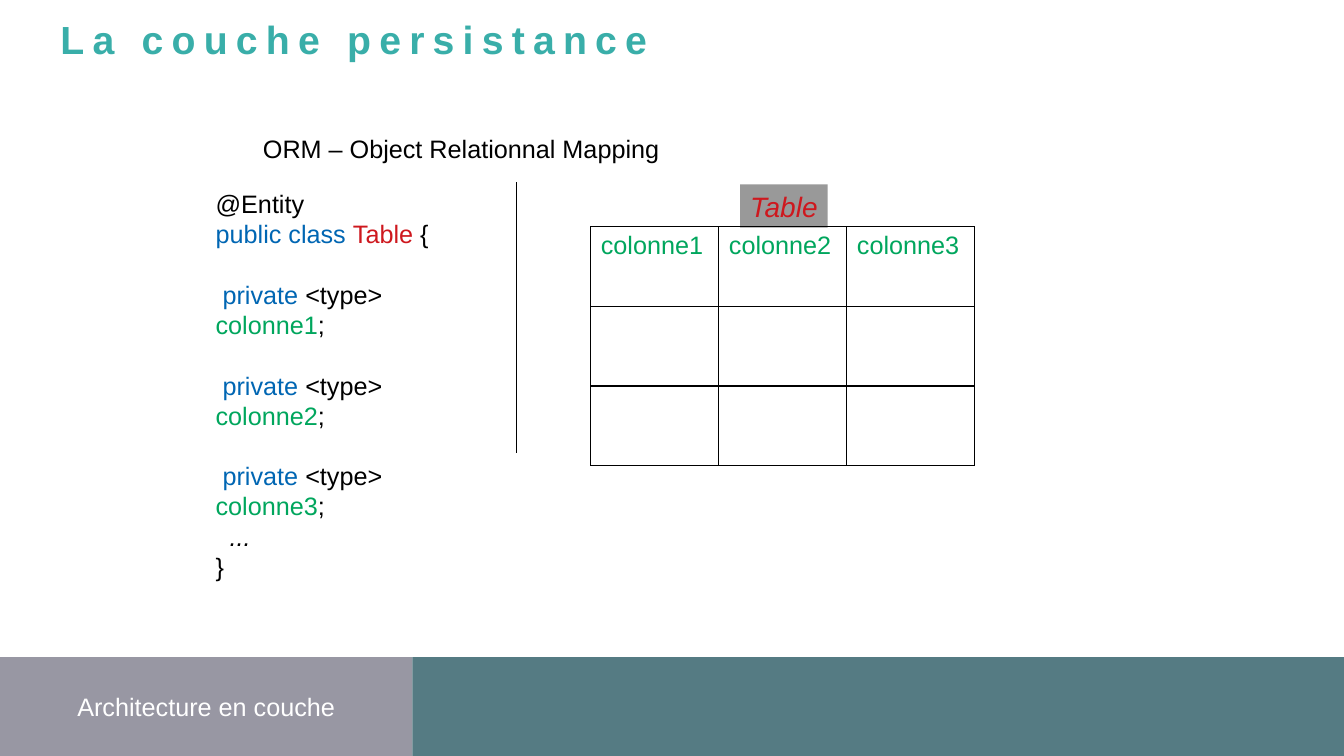
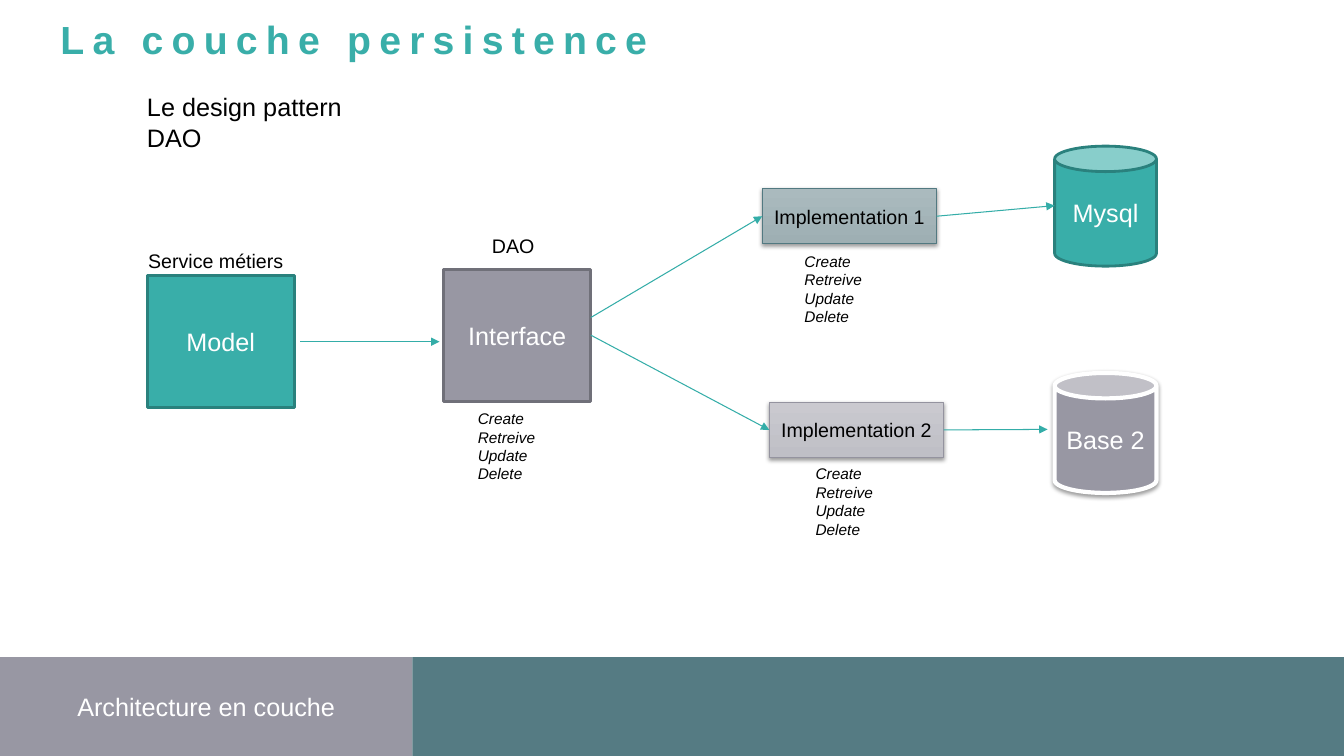
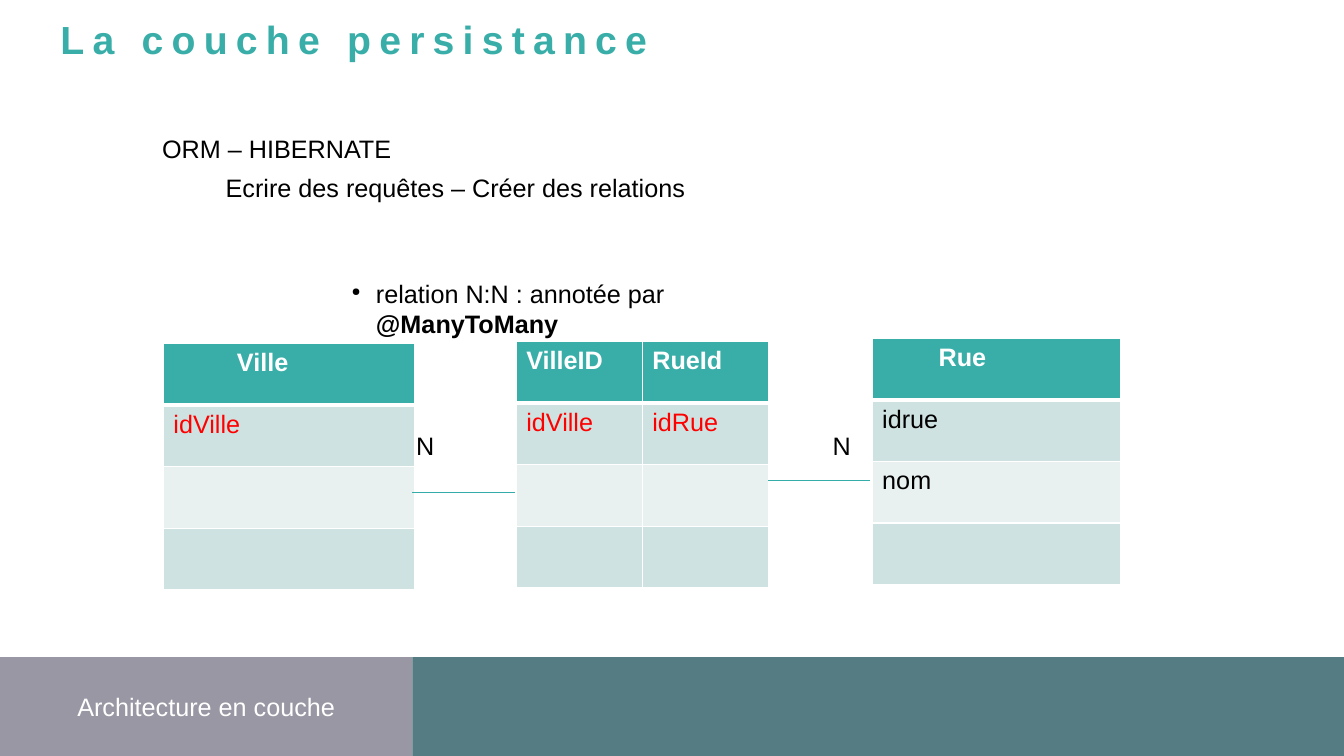
from lxml.etree import SubElement
from pptx import Presentation
from pptx.dml.color import RGBColor
from pptx.enum.shapes import MSO_CONNECTOR, MSO_SHAPE
from pptx.enum.text import MSO_ANCHOR, PP_ALIGN
from pptx.oxml import parse_xml
from pptx.oxml.ns import nsdecls, qn
from pptx.util import Inches, Pt

FONT = "Arial"
TEAL, GREY, SLATE = "39AEA9", "9897A3", "557B83"
LINK = "34ADA8"
BLACK, WHITE = "000000", "FFFFFF"
GREEN, BLUE, CRIMSON, RED = "00A65D", "0066B3", "CE181E", "FF0000"
PALE, PALER = "CEE3E1", "E8F1F0"
rgb = RGBColor.from_string

SHADOW = f"""<a:effectLst {nsdecls('a')}>
  <a:outerShdw blurRad="39370" dist="20320" dir="5400000" rotWithShape="0">
    <a:srgbClr val="000000"><a:alpha val="38000"/></a:srgbClr>
  </a:outerShdw>
</a:effectLst>"""


def write(tf, *lines, size=18, color=BLACK, bold=False, italic=False,
          align=PP_ALIGN.LEFT):
    """Fill a text frame; a line is a string or a list of (text, format) runs."""
    for i, line in enumerate(lines):
        p = tf.paragraphs[0] if i == 0 else tf.add_paragraph()
        p.alignment = align
        runs = [(line, {})] if isinstance(line, str) else line
        for text, own in runs:
            r = p.add_run()
            r.text = text
            r.font.name = FONT
            r.font.size = Pt(size)
            r.font.bold = own.get("bold", bold)
            r.font.italic = own.get("italic", italic)
            r.font.color.rgb = rgb(own.get("color", color))


def box(s, x, y, w, h, *lines, kind=None, fill=None, line=None, weight=0.75,
        shadow=False, **fmt):
    """Add a text box, or a filled shape with centred text when kind is given."""
    place = [Inches(v) for v in (x, y, w, h)]
    if kind is None:
        sp = s.shapes.add_textbox(*place)
    else:
        sp = s.shapes.add_shape(kind, *place)
        fmt = {"color": WHITE, "align": PP_ALIGN.CENTER, **fmt}
        sp.text_frame.vertical_anchor = MSO_ANCHOR.MIDDLE
        if isinstance(fill, tuple):
            sp.fill.gradient()
            sp.fill.gradient_angle = 270
            for stop, c in zip(sp.fill.gradient_stops, fill):
                stop.color.rgb = rgb(c)
        else:
            sp.fill.solid()
            sp.fill.fore_color.rgb = rgb(fill)
        if line:
            sp.line.color.rgb = rgb(line)
            sp.line.width = Pt(weight)
        else:
            sp.line.fill.background()
        if shadow:
            sp._element.spPr.append(parse_xml(SHADOW))
        else:
            sp.shadow.inherit = False
    sp.text_frame.word_wrap = True
    write(sp.text_frame, *lines, **fmt)
    return sp


prs = Presentation()
prs.slide_width, prs.slide_height = Inches(13.33), Inches(7.5)
RECT, CAN = MSO_SHAPE.RECTANGLE, MSO_SHAPE.CAN

# Title and footer bands
slides = []
for title in ("La couche persistance", "La couche persistence", "La couche persistance"):
    s = prs.slides.add_slide(prs.slide_layouts[6])
    box(s, 0, 6.52, 4.09, 0.98, "Architecture en couche", kind=RECT, fill=GREY)
    box(s, 4.09, 6.52, 9.24, 0.98, kind=RECT, fill=SLATE)
    tf = box(s, 0.6, 0.27, 6.46, 0.35, title, size=28, color=TEAL, bold=True).text_frame
    tf.margin_left = tf.margin_right = tf.margin_top = tf.margin_bottom = 0
    p = tf.paragraphs[0]
    p.line_spacing = Pt(25)
    p.runs[0].font._element.set("spc", "590")
    slides.append(s)
orm, dao, relation = slides

# Slide 1: entity class beside its table
box(orm, 2.51, 1.27, 4.26, 0.4, "ORM – Object Relationnal Mapping")
label = box(orm, 7.34, 1.83, 0.87, 0.43, "Table", kind=RECT, fill="999999",
            size=20, color=CRIMSON, italic=True)
label.text_frame.word_wrap = False
label.text_frame.vertical_anchor = MSO_ANCHOR.TOP
columns = ["colonne1", "colonne2", "colonne3"]
fields = [[(" ", {}), ("private", {"color": BLUE}), (" <type> ", {}),
           (name, {"color": GREEN}), (";", {})] for name in columns]
code = box(orm, 2.04, 1.82, 2.95, 3.7,
           "@Entity",
           [("public class ", {"color": BLUE}), ("Table", {"color": CRIMSON}), (" {", {})],
           *fields,
           [("  ", {}), ("...", {"italic": True})],
           "}")
for p in code.text_frame.paragraphs[2:5]:
    p.space_before = Pt(21.6)

# Slide 2: DAO pattern
box(dao, 1.36, 0.86, 2.7, 0.7, "Le design pattern DAO")
box(dao, 1.37, 2.42, 1.59, 0.33, "Service métiers", size=14)
box(dao, 4.78, 2.27, 0.69, 0.33, "DAO", size=14)
box(dao, 1.46, 2.73, 1.46, 1.31, "Model", kind=RECT, fill=TEAL, line="2A817D", weight=2)
interface = box(dao, 4.4, 2.67, 1.46, 1.31, "Interface", kind=RECT, fill=GREY,
                line="707079", weight=2)
impl1, impl2 = [
    box(dao, x, y, 1.73, 0.55, text, kind=RECT, fill=fill, line=line, shadow=True,
        size=14, color=BLACK)
    for x, y, text, fill, line in (
        (7.56, 1.87, "Implementation 1", ("AABABE", "9EAFB3"), "527981"),
        (7.63, 3.99, "Implementation 2", ("CAC9CF", "BFBFC6"), "94939F"))]
box(dao, 10.46, 1.45, 1.01, 1.19, "Mysql", kind=CAN, fill=TEAL, line="2A817D", weight=2)
box(dao, 10.46, 3.7, 1.01, 1.19, "Base 2", kind=CAN, fill=GREY, line=WHITE, weight=3,
    shadow=True)
for x, y in ((4.64, 4.01), (7.88, 2.45), (7.99, 4.56)):
    box(dao, x, y, 1.22, 0.83, "Create", "Retreive", "Update", "Delete",
        size=11, italic=True)

# Slide 3: many-to-many relation
box(relation, 1.51, 1.27, 2.47, 0.4, "ORM – HIBERNATE")
box(relation, 2.14, 1.66, 7.54, 0.4, "Ecrire des requêtes – Créer des relations")
bullet = box(relation, 3.39, 2.71, 5, 0.7,
             [("relation N:N : annotée par ", {}), ("@ManyToMany", {"bold": True})])
pPr = bullet.text_frame.paragraphs[0]._p.get_or_add_pPr()
pPr.set("marL", str(Inches(0.24)))
pPr.set("indent", str(Inches(-0.24)))
SubElement(SubElement(pPr, qn("a:buClr")), qn("a:srgbClr")).set("val", BLACK)
SubElement(pPr, qn("a:buSzPct")).set("val", "45000")
SubElement(pPr, qn("a:buChar")).set("char", "●")
for x in (4.03, 8.16):
    box(relation, x, 4.22, 0.4, 0.4, "N")

# Tables: slide, left, top, column width, row height, header indent, text colour, rows
tables = [
    (orm, 5.86, 2.25, 1.27, 0.79, 0, GREEN, [columns, [""] * 3, [""] * 3]),
    (relation, 1.62, 3.41, 2.49, 0.61, 0.63, RED, [["Ville"], ["idVille"], [""], [""]]),
    (relation, 8.65, 3.36, 2.46, 0.61, 0.56, BLACK, [["Rue"], ["idrue"], ["nom"], [""]]),
    (relation, 5.12, 3.39, 1.25, 0.61, 0, RED,
     [["VilleID", "RueId"], ["idVille", "idRue"], [""] * 2, [""] * 2]),
]
for s, x, y, col_w, row_h, indent, color, rows in tables:
    plain = s is orm
    n_rows, n_cols = len(rows), len(rows[0])
    table = s.shapes.add_table(n_rows, n_cols, Inches(x), Inches(y),
                               Inches(col_w * n_cols), Inches(row_h * n_rows)).table
    table.first_row = table.horz_banding = False
    for i, row in enumerate(rows):
        header = i == 0 and not plain
        for j, text in enumerate(row):
            cell = table.cell(i, j)
            if text:
                write(cell.text_frame, text, color=WHITE if header else color, bold=header)
            if header:
                cell.margin_left = Inches(0.1 + indent)
            tcPr = cell._tc.get_or_add_tcPr()
            for side in "LRTB":
                thick = not plain and (i, side) in ((0, "B"), (1, "T"))
                ln = SubElement(tcPr, qn(f"a:ln{side}"))
                ln.set("w", str(Pt(3 if thick else 0.96)))
                solid = SubElement(ln, qn("a:solidFill"))
                SubElement(solid, qn("a:srgbClr")).set("val", BLACK if plain else WHITE)
            if plain:
                cell.fill.background()
            else:
                cell.fill.solid()
                cell.fill.fore_color.rgb = rgb(TEAL if header else PALE if i % 2 else PALER)

# Lines: slide, start, end, colour, arrow, shape joined at the start, at the end
lines = [
    (orm, 5.12, 1.81, 5.12, 4.49, BLACK, False, None, None),
    (dao, 2.98, 3.39, 4.36, 3.39, LINK, True, None, None),
    (dao, 5.86, 3.15, 7.56, 2.15, LINK, True, None, impl1),
    (dao, 5.86, 3.34, 7.63, 4.26, LINK, True, interface, impl2),
    (dao, 9.29, 2.14, 10.46, 2.04, LINK, True, impl1, None),
    (dao, 9.36, 4.26, 10.39, 4.26, LINK, True, impl2, None),
    (relation, 4.09, 4.89, 5.11, 4.89, LINK, False, None, None),
    (relation, 7.62, 4.77, 8.63, 4.77, LINK, False, None, None),
]
for s, x1, y1, x2, y2, color, arrow, start, end in lines:
    c = s.shapes.add_connector(MSO_CONNECTOR.STRAIGHT, Inches(x1), Inches(y1),
                               Inches(x2), Inches(y2))
    c.line.color.rgb = rgb(color)
    c.line.width = Pt(0.75)
    if arrow:
        SubElement(c.line._get_or_add_ln(), qn("a:tailEnd")).set("type", "triangle")
    SubElement(c._element.spPr, qn("a:effectLst"))
    if start:
        c.begin_connect(start, 3)
    if end:
        c.end_connect(end, 1)

prs.save("out.pptx")
